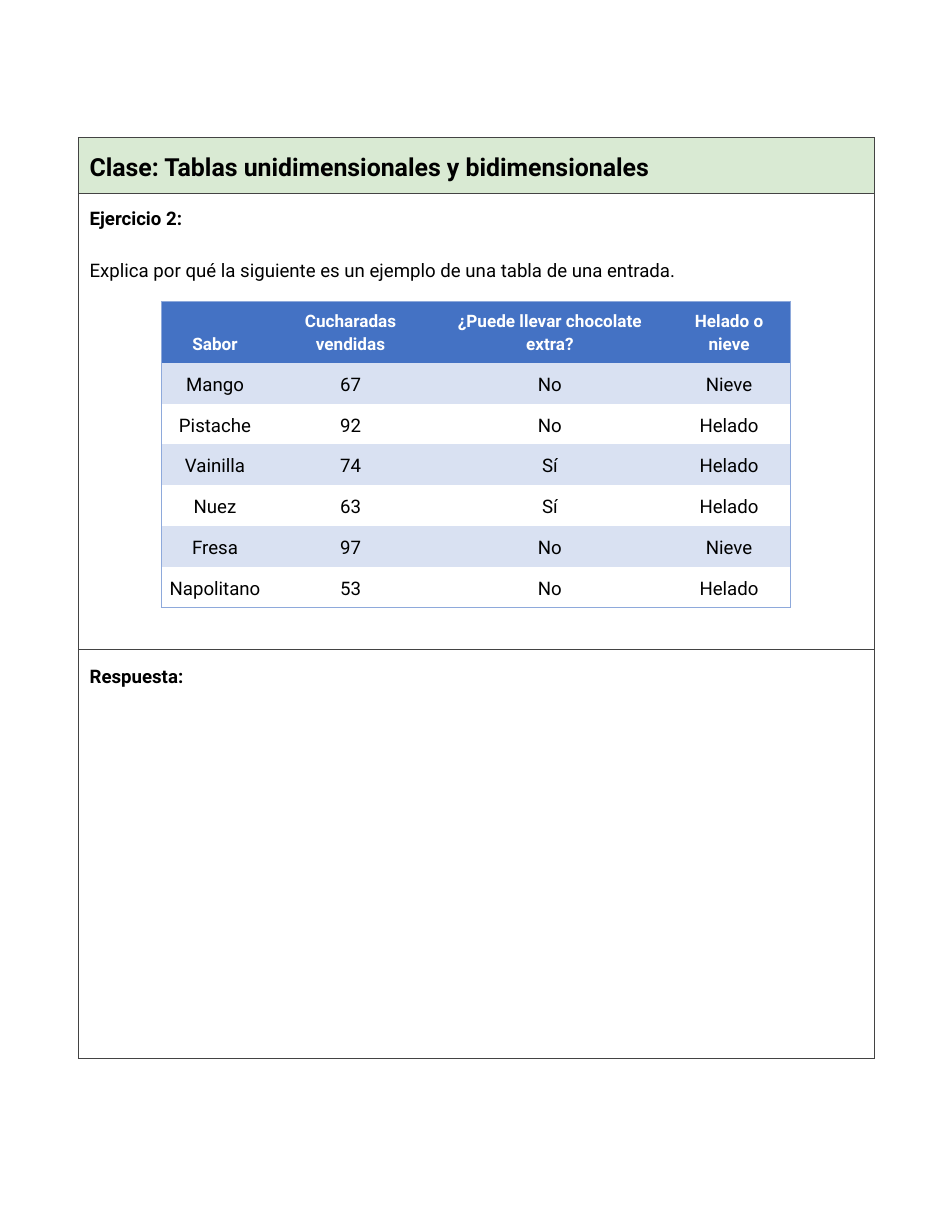
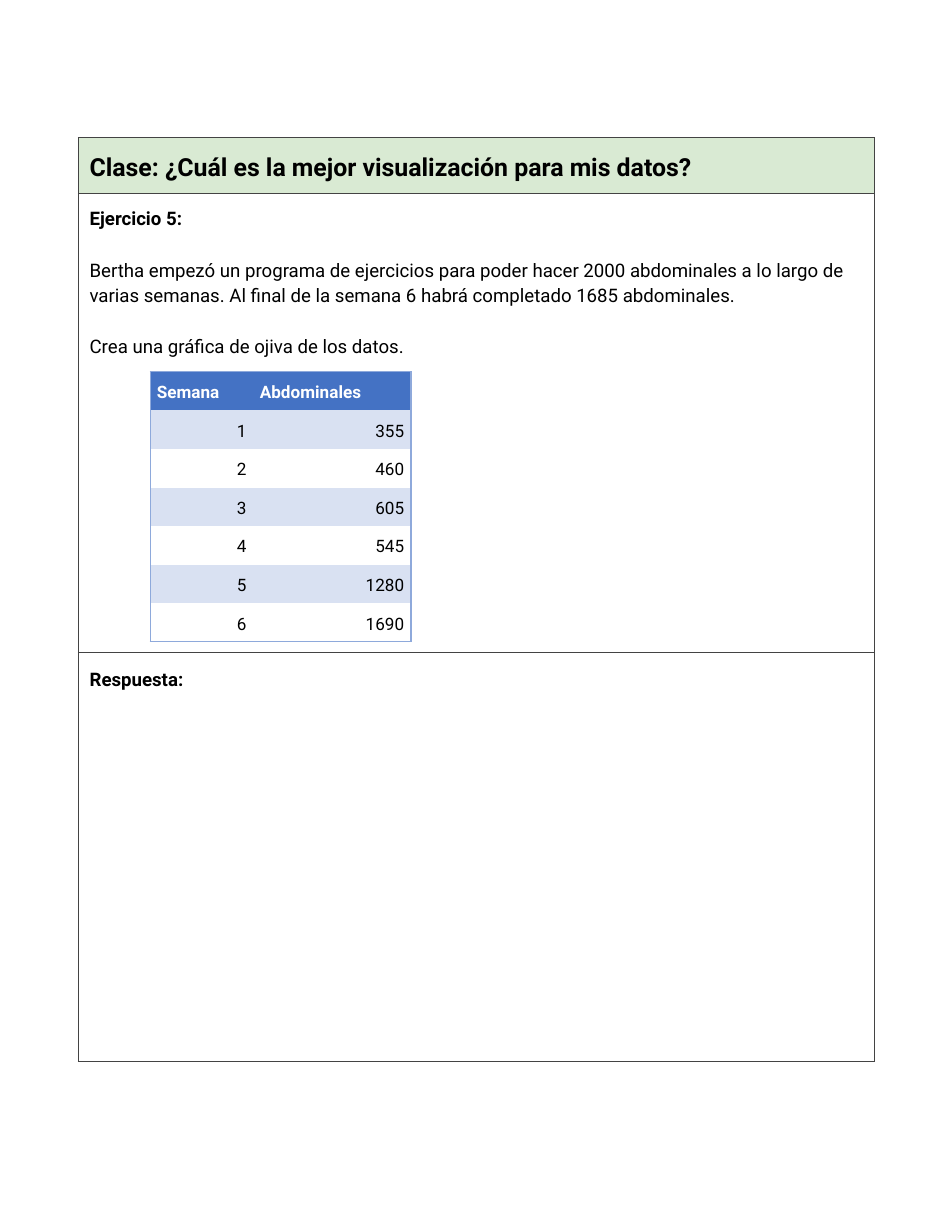
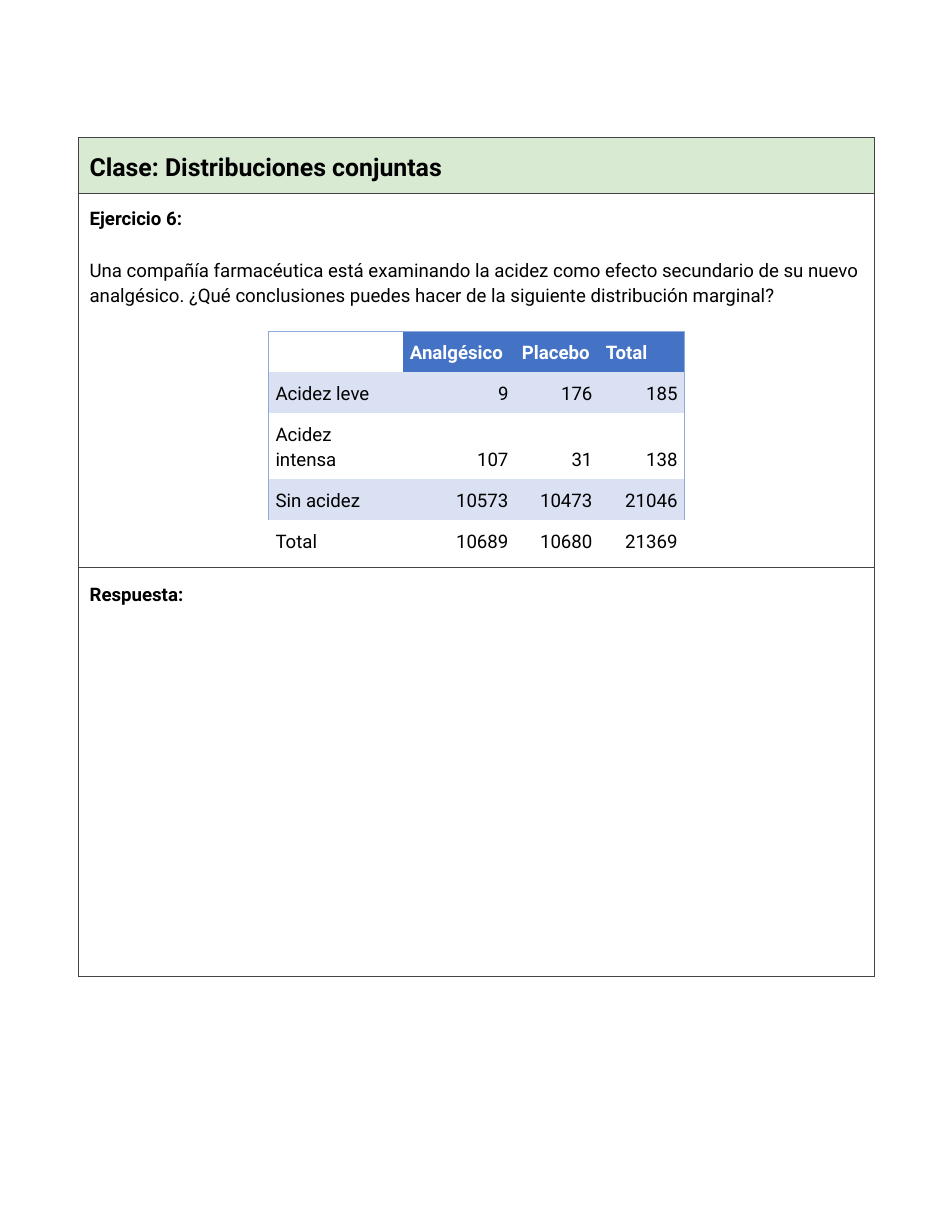
import lxml.etree
import pptx
import pptx.dml.color
import pptx.enum.text
import pptx.oxml.ns
import pptx.util

Inches = pptx.util.Inches
Pt = pptx.util.Pt
ALIGN = pptx.enum.text.PP_ALIGN
BOTTOM = pptx.enum.text.MSO_ANCHOR.BOTTOM

FONT = "Roboto"
BLACK, WHITE = "000000", "FFFFFF"
SHEET_LINE, TITLE_FILL = "434343", "D9EAD3"
DATA_LINE, HEADER_FILL, BAND_FILL = "8EA9DB", "4472C4", "D9E1F2"
LINE_WIDTH = 0.75
SIDES = {"left": "lnL", "right": "lnR", "top": "lnT", "bottom": "lnB"}
SHEET_LEFT, SHEET_TOP, SHEET_WIDTH = 0.7, 1.23, 7.11
TITLE_HEIGHT, ANSWER_HEIGHT = 0.5, 3.65

EXERCISES = [
    {
        "title": "Clase: Tablas unidimensionales y bidimensionales",
        "number": "Ejercicio 2:",
        "statement": ["Explica por qué la siguiente es un ejemplo de una tabla de una entrada."],
        "height": 4.07,
        "data": {
            "left": 1.44, "top": 2.69, "size": 12, "header_size": 11,
            "widths": [0.96, 1.46, 2.1, 1.1],
            "heights": [0.54] + [0.36] * 6,
            "header_align": ALIGN.CENTER, "aligns": [ALIGN.CENTER] * 4,
            "rows": [
                ["Sabor", "Cucharadas vendidas", "¿Puede llevar chocolate extra?", "Helado o nieve"],
                ["Mango", "67", "No", "Nieve"],
                ["Pistache", "92", "No", "Helado"],
                ["Vainilla", "74", "Sí", "Helado"],
                ["Nuez", "63", "Sí", "Helado"],
                ["Fresa", "97", "No", "Nieve"],
                ["Napolitano", "53", "No", "Helado"],
            ],
        },
    },
    {
        "title": "Clase: ¿Cuál es la mejor visualización para mis datos?",
        "number": "Ejercicio 5:",
        "statement": [
            "Bertha empezó un programa de ejercicios para poder hacer 2000 abdominales a lo largo de "
            "varias semanas. Al final de la semana 6 habrá completado 1685 abdominales.",
            "Crea una gráfica de ojiva de los datos.",
        ],
        "height": 4.1,
        "data": {
            "left": 1.34, "top": 3.32, "size": 11, "header_size": 11,
            "widths": [0.92, 1.41],
            "heights": [0.34] * 7,
            "header_align": ALIGN.LEFT, "aligns": [ALIGN.RIGHT] * 2,
            "rows": [
                ["Semana", "Abdominales"],
                ["1", "355"],
                ["2", "460"],
                ["3", "605"],
                ["4", "545"],
                ["5", "1280"],
                ["6", "1690"],
            ],
        },
    },
    {
        "title": "Clase: Distribuciones conjuntas",
        "number": "Ejercicio 6:",
        "statement": [
            "Una compañía farmacéutica está examinando la acidez como efecto secundario de su nuevo "
            "analgésico. ¿Qué conclusiones puedes hacer de la siguiente distribución marginal?",
        ],
        "height": 3.34,
        "data": {
            "left": 2.4, "top": 2.96, "size": 12, "header_size": 12,
            "widths": [1.2, 1, 0.75, 0.76],
            "heights": [0.36, 0.36, 0.59, 0.36, 0.36],
            "header_align": ALIGN.LEFT, "aligns": [ALIGN.LEFT] + [ALIGN.RIGHT] * 3,
            "open_total": True,
            "rows": [
                ["", "Analgésico", "Placebo", "Total"],
                ["Acidez leve", "9", "176", "185"],
                ["Acidez intensa", "107", "31", "138"],
                ["Sin acidez", "10573", "10473", "21046"],
                ["Total", "10689", "10680", "21369"],
            ],
        },
    },
]


def color(hex_value):
    return pptx.dml.color.RGBColor.from_string(hex_value)


def apply(target, formats):
    for attribute, value in formats.items():
        setattr(target, attribute, value)


def add_grid(slide, left, top, widths, heights):
    """Add a table without the banded style and return it."""
    table = slide.shapes.add_table(
        len(heights), len(widths), Inches(left), Inches(top),
        Inches(sum(widths)), Inches(sum(heights))).table
    apply(table, {"first_row": False, "horz_banding": False})
    for column, width in zip(table.columns, widths):
        column.width = Inches(width)
    for row, height in zip(table.rows, heights):
        row.height = Inches(height)
    return table


def style_cell(cell, fill, line, drawn_sides, margins):
    """Draw the given sides, hide the others, then fill the cell."""
    properties = cell._tc.get_or_add_tcPr()
    qn = pptx.oxml.ns.qn
    for side, tag in SIDES.items():
        border = lxml.etree.SubElement(properties, qn(f"a:{tag}"), w=str(Pt(LINE_WIDTH)))
        if side in drawn_sides:
            solid = lxml.etree.SubElement(border, qn("a:solidFill"))
            lxml.etree.SubElement(solid, qn("a:srgbClr"), val=line)
        else:
            lxml.etree.SubElement(border, qn("a:noFill"))
    if fill:
        cell.fill.solid()
        cell.fill.fore_color.rgb = color(fill)
    else:
        cell.fill.background()
    for side, margin in margins.items():
        setattr(cell, f"margin_{side}", Inches(margin))


def write(paragraph, text, size, bold=False, ink=BLACK, **formats):
    apply(paragraph, {"line_spacing": 1.15, **formats})
    if not text:
        lxml.etree.SubElement(
            paragraph._p, pptx.oxml.ns.qn("a:endParaRPr"), sz=str(size * 100))
        return
    run = paragraph.add_run()
    run.text = text
    apply(run.font, {"name": FONT, "size": Pt(size), "bold": bold})
    run.font.color.rgb = color(ink)


def add_sheet(slide, exercise):
    """Add the frame with the class title, the statement and the answer area."""
    heights = [TITLE_HEIGHT, exercise["height"], ANSWER_HEIGHT]
    sheet = add_grid(slide, SHEET_LEFT, SHEET_TOP, [SHEET_WIDTH], heights)
    title, statement, answer = (sheet.cell(row, 0) for row in range(3))
    for cell, fill in ((title, TITLE_FILL), (statement, None), (answer, None)):
        style_cell(cell, fill, SHEET_LINE, SIDES, dict.fromkeys(SIDES, 0.1))
    answer.margin_top = Inches(0.12)

    write(title.text_frame.paragraphs[0], exercise["title"], 16, bold=True)
    write(statement.text_frame.paragraphs[0], exercise["number"], 12, bold=True)
    for text in exercise["statement"]:
        write(statement.text_frame.add_paragraph(), text, 12, space_before=Pt(17))
    write(answer.text_frame.paragraphs[0], "Respuesta:", 12, bold=True)


def outer_sides(row, column, row_count, column_count, open_total):
    """Name the sides of a cell on the table's outline; an open total row has none."""
    last_row = row == row_count - 1
    if open_total and last_row:
        return set()
    on_outline = {"left": column == 0, "right": column == column_count - 1,
                  "top": row == 0, "bottom": last_row}
    return {side for side, outside in on_outline.items() if outside}


def add_data(slide, data):
    """Add the exercise's data with a blue header and banded rows."""
    rows, widths = data["rows"], data["widths"]
    table = add_grid(slide, data["left"], data["top"], widths, data["heights"])
    margins = {"left": 0.06, "right": 0.06, "top": 0.07, "bottom": 0.07}
    for row, values in enumerate(rows):
        header = row == 0
        for column, value in enumerate(values):
            cell = table.cell(row, column)
            if header:
                fill = HEADER_FILL if value else WHITE
            else:
                fill = BAND_FILL if row % 2 else None
            sides = outer_sides(row, column, len(rows), len(widths), data.get("open_total"))
            style_cell(cell, fill, DATA_LINE, sides, margins)
            cell.vertical_anchor = BOTTOM
            write(cell.text_frame.paragraphs[0], value,
                  data["header_size"] if header else data["size"],
                  bold=header, ink=WHITE if header else BLACK,
                  alignment=data["header_align"] if header else data["aligns"][column])


def main():
    deck = pptx.Presentation()
    apply(deck, {"slide_width": Inches(8.5), "slide_height": Inches(11)})
    blank = deck.slide_layouts[6]
    for exercise in EXERCISES:
        slide = deck.slides.add_slide(blank)
        add_sheet(slide, exercise)
        add_data(slide, exercise["data"])
    deck.save("out.pptx")


if __name__ == "__main__":
    main()
